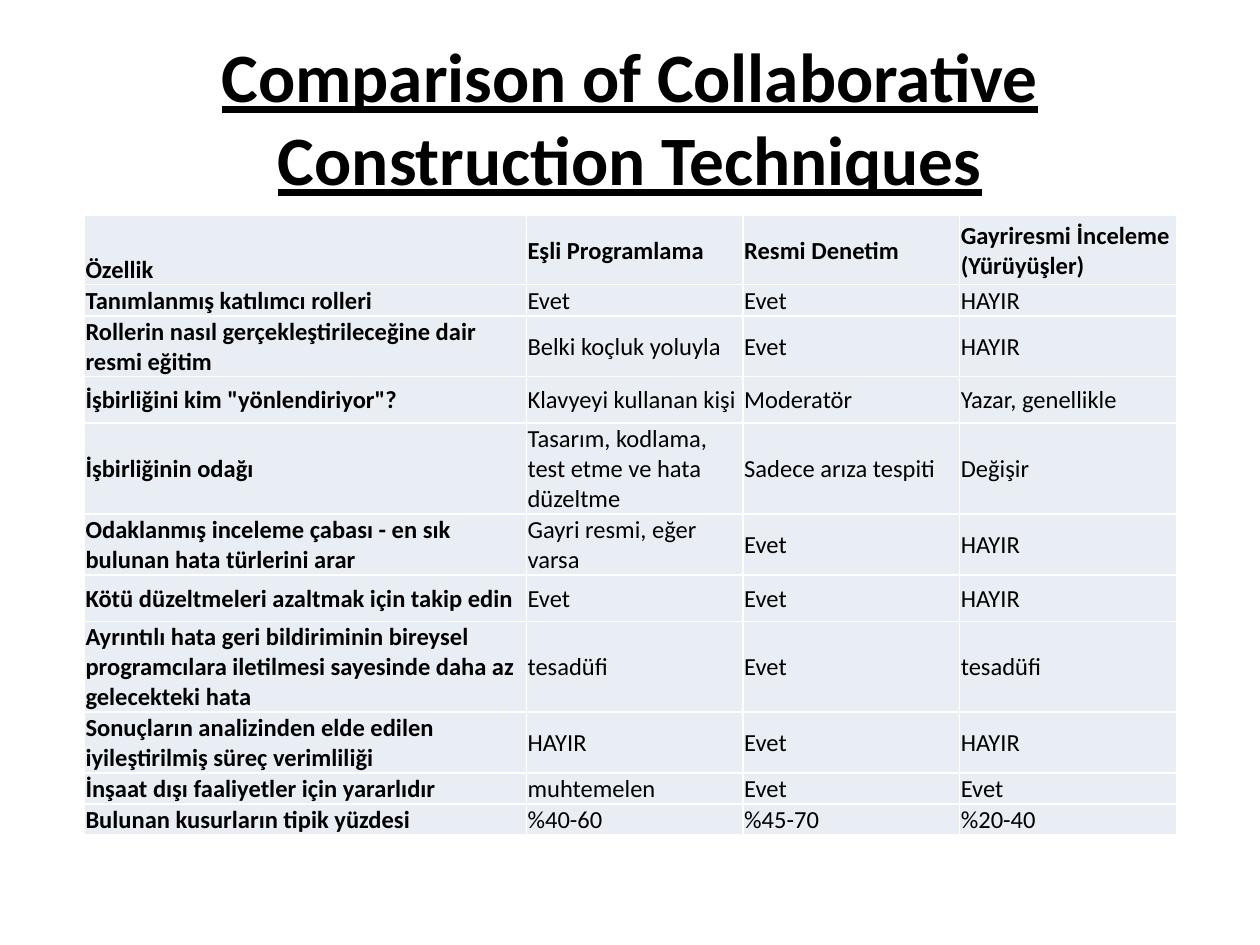
import dataclasses

import lxml.etree
import pptx
import pptx.dml.color
import pptx.enum.text
import pptx.oxml.ns
import pptx.util

Pt = pptx.util.Pt
Anchor = pptx.enum.text.MSO_ANCHOR
Align = pptx.enum.text.PP_ALIGN


@dataclasses.dataclass(frozen=True)
class Theme:
    font: str = "Calibri"
    text: str = "000000"
    cell: str = "E9EDF4"
    border: str = "FFFFFF"
    title_size: float = 39.6
    cell_size: float = 14


THEME = Theme()
TITLE = "Comparison of Collaborative Construction Techniques"
COLUMN_WIDTHS = (252.6, 123.8, 123.8, 123.8)
ONE_LINE, TWO_LINES, THREE_LINES = 14.4, 26.64, 39.6

# Each row: minimum height, then its cell texts
ROWS = (
    (THREE_LINES, "Özellik", "Eşli Programlama", "Resmi Denetim",
     "Gayriresmi İnceleme (Yürüyüşler)"),
    (ONE_LINE, "Tanımlanmış katılımcı rolleri", "Evet", "Evet", "HAYIR"),
    (TWO_LINES, "Rollerin nasıl gerçekleştirileceğine dair resmi eğitim",
     "Belki koçluk yoluyla", "Evet", "HAYIR"),
    (TWO_LINES, 'İşbirliğini kim "yönlendiriyor"?',
     "Klavyeyi kullanan kişi", "Moderatör", "Yazar, genellikle"),
    (THREE_LINES, "İşbirliğinin odağı",
     "Tasarım, kodlama, test etme ve hata düzeltme",
     "Sadece arıza tespiti", "Değişir"),
    (TWO_LINES, "Odaklanmış inceleme çabası - en sık bulunan hata türlerini arar",
     "Gayri resmi, eğer varsa", "Evet", "HAYIR"),
    (TWO_LINES, "Kötü düzeltmeleri azaltmak için takip edin", "Evet", "Evet", "HAYIR"),
    (THREE_LINES, "Ayrıntılı hata geri bildiriminin bireysel programcılara "
     "iletilmesi sayesinde daha az gelecekteki hata",
     "tesadüfi", "Evet", "tesadüfi"),
    (TWO_LINES, "Sonuçların analizinden elde edilen iyileştirilmiş süreç verimliliği",
     "HAYIR", "Evet", "HAYIR"),
    (ONE_LINE, "İnşaat dışı faaliyetler için yararlıdır", "muhtemelen", "Evet", "Evet"),
    (ONE_LINE, "Bulunan kusurların tipik yüzdesi", "%40-60", "%45-70", "%20-40"),
)


def write_text(frame, text, *, size, bold=False, underline=False, align=Align.LEFT):
    frame.word_wrap = True
    para = frame.paragraphs[0]
    para.alignment = align
    span = para.add_run()
    span.text = text
    span.font.name = THEME.font
    span.font.size = Pt(size)
    span.font.bold = bold
    span.font.underline = underline
    span.font.color.rgb = pptx.dml.color.RGBColor.from_string(THEME.text)


def add_title(slide):
    box = slide.shapes.title
    box.left, box.top, box.width, box.height = Pt(36), Pt(21.6), Pt(648), Pt(90)
    frame = box.text_frame
    frame.auto_size = pptx.enum.text.MSO_AUTO_SIZE.NONE
    frame.vertical_anchor = Anchor.MIDDLE
    write_text(frame, TITLE, size=THEME.title_size, bold=True, underline=True,
               align=Align.CENTER)


def add_borders(cell):
    """Line all four sides; the lines must precede the fill in the XML."""
    properties = cell._tc.get_or_add_tcPr()
    name = pptx.oxml.ns.qn
    for position, side in enumerate(("a:lnL", "a:lnR", "a:lnT", "a:lnB")):
        line = lxml.etree.Element(name(side), w=str(Pt(1)))
        fill = lxml.etree.SubElement(line, name("a:solidFill"))
        lxml.etree.SubElement(fill, name("a:srgbClr"), val=THEME.border)
        properties.insert(position, line)


def format_cell(cell, text, *, bold, anchor):
    cell.margin_left = cell.margin_right = cell.margin_top = Pt(0.7)
    cell.margin_bottom = Pt(0)
    cell.vertical_anchor = anchor
    cell.fill.solid()
    cell.fill.fore_color.rgb = pptx.dml.color.RGBColor.from_string(THEME.cell)
    add_borders(cell)
    write_text(cell.text_frame, text, size=THEME.cell_size, bold=bold)


def add_comparison_table(slide):
    height = Pt(349.2)
    holder = slide.shapes.add_table(len(ROWS), len(COLUMN_WIDTHS), Pt(48.2), Pt(123.1),
                                    Pt(sum(COLUMN_WIDTHS)), height)
    table = holder.table
    for column, width in zip(table.columns, COLUMN_WIDTHS):
        column.width = Pt(width)
    for row_index, (row_height, *texts) in enumerate(ROWS):
        table.rows[row_index].height = Pt(row_height)
        for column_index, text in enumerate(texts):
            corner = row_index == column_index == 0
            format_cell(table.cell(row_index, column_index), text,
                        bold=row_index == 0 or column_index == 0,
                        anchor=Anchor.BOTTOM if corner else Anchor.MIDDLE)
    holder.height = height


def main():
    deck = pptx.Presentation()
    deck.slide_width, deck.slide_height = Pt(720), Pt(540)
    title_only = deck.slide_layouts[5]
    page = deck.slides.add_slide(title_only)
    add_title(page)
    add_comparison_table(page)
    deck.save("out.pptx")


if __name__ == "__main__":
    main()
